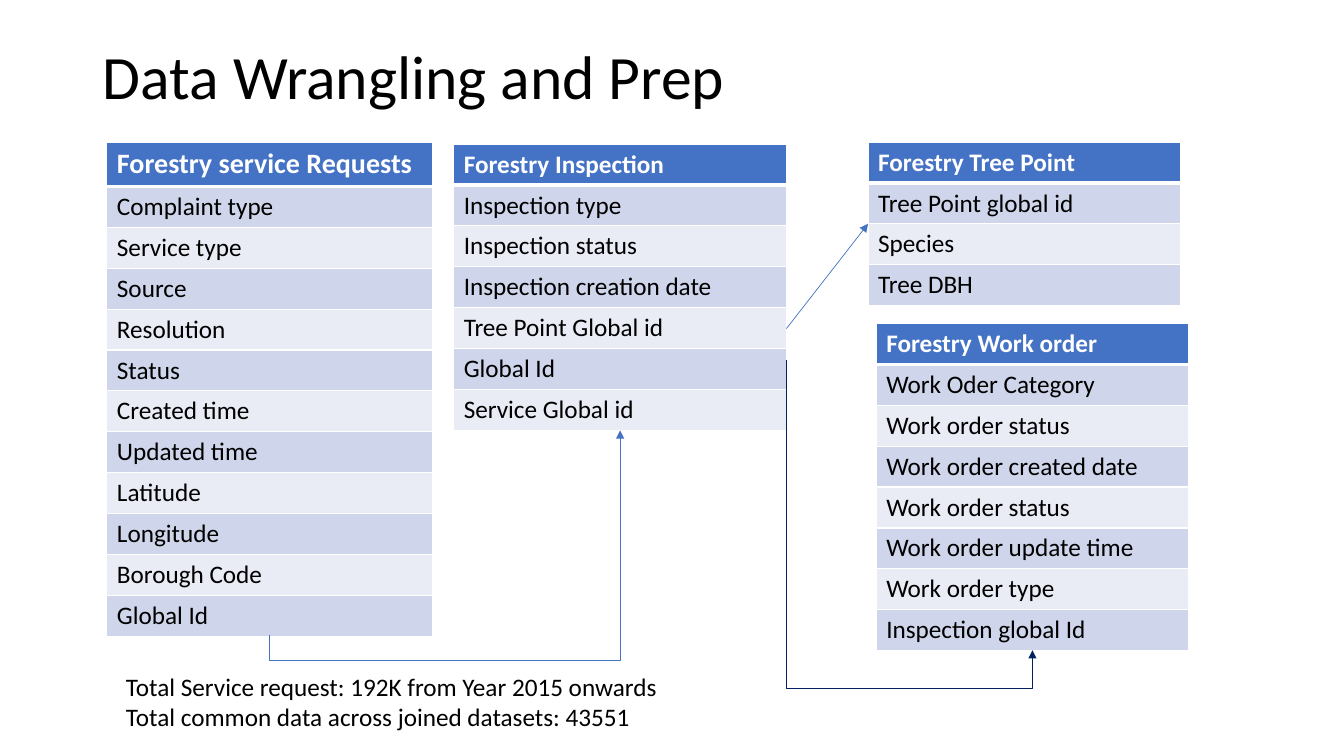
from lxml import etree
from pptx import Presentation
from pptx.dml.color import RGBColor
from pptx.enum.shapes import MSO_CONNECTOR
from pptx.enum.text import MSO_ANCHOR, MSO_AUTO_SIZE, PP_ALIGN
from pptx.oxml.ns import qn
from pptx.util import Inches, Pt

STRAIGHT, ELBOW = MSO_CONNECTOR.STRAIGHT, MSO_CONNECTOR.ELBOW
MIDDLE, LEFT = MSO_ANCHOR.MIDDLE, PP_ALIGN.LEFT
FIT_SHAPE, NO_FIT = MSO_AUTO_SIZE.SHAPE_TO_FIT_TEXT, MSO_AUTO_SIZE.NONE

COLORS = {
    "text": "000000", "white": "FFFFFF", "blue": "4472C4", "navy": "002060",
    "band_dark": "CFD5EA", "band_light": "E9EBF5",
}
FONT = "Calibri"
TITLE_ONLY = 5
ROW_H = Inches(3.65 / 9)
TALL_HEADER_H = Inches(0.43)

# Tables: left, top, width, header size, header, fields
REQUESTS = (1.06, 1.41, 3.23, 20, "Forestry service Requests", [
    "Complaint type", "Service type", "Source", "Resolution", "Status",
    "Created time", "Updated time", "Latitude", "Longitude", "Borough Code",
    "Global Id"])
INSPECTION = (4.5, 1.43, 3.3, 18, "Forestry Inspection", [
    "Inspection type", "Inspection status", "Inspection creation date",
    "Tree Point Global id", "Global Id", "Service Global id"])
WORK_ORDER = (8.69, 3.21, 3.1, 18, "Forestry Work order", [
    "Work Oder Category", "Work order status", "Work order created date",
    "Work order status", "Work order update time", "Work order type",
    "Inspection global Id"])
TREE_POINT = (8.61, 1.41, 3.1, 18, "Forestry Tree Point", [
    "Tree Point global id", "Species", "Tree DBH"])


def rgb(name):
    return RGBColor.from_string(COLORS[name])


class SlideBuilder:
    """Holds the shared style and the slide being filled."""

    def __init__(self, prs):
        self.s = prs.slides.add_slide(prs.slide_layouts[TITLE_ONLY])
        fill = self.s.background.fill
        fill.solid()
        fill.fore_color.rgb = rgb("white")

    def add_text(self, p, text, size, color="text", bold=False):
        p.alignment = LEFT
        r = p.add_run()
        r.text = text
        values = {"name": FONT, "size": Pt(size), "bold": bold}
        for key, value in values.items():
            setattr(r.font, key, value)
        r.font.color.rgb = rgb(color)

    def title(self, text, left, top, width, height):
        sp = self.s.shapes.title
        box = {"left": left, "top": top, "width": width, "height": height}
        for key, value in box.items():
            setattr(sp, key, Inches(value))
        tf = sp.text_frame
        frame = {"vertical_anchor": MIDDLE, "auto_size": NO_FIT, "word_wrap": True}
        for key, value in frame.items():
            setattr(tf, key, value)
        p = tf.paragraphs[0]
        p.line_spacing = 0.9
        self.add_text(p, text, 44)

    def textbox(self, lines, left, top, width, height):
        sp = self.s.shapes.add_textbox(
            Inches(left), Inches(top), Inches(width), Inches(height))
        tf = sp.text_frame
        tf.word_wrap = True
        tf.auto_size = FIT_SHAPE
        for i, line in enumerate(lines):
            p = tf.add_paragraph() if i else tf.paragraphs[0]
            self.add_text(p, line, 18)

    def borders(self, cell, row):
        widths = {"L": 1, "R": 1, "T": 3 if row == 1 else 1, "B": 1 if row else 3}
        tc_pr = cell._tc.get_or_add_tcPr()
        for side, width in widths.items():
            ln = etree.SubElement(tc_pr, qn(f"a:ln{side}"), w=str(Pt(width)))
            fill = etree.SubElement(ln, qn("a:solidFill"))
            etree.SubElement(fill, qn("a:srgbClr"), val=COLORS["white"])

    def table(self, left, top, width, header_size, header, fields):
        texts = [header, *fields]
        frame = self.s.shapes.add_table(
            len(texts), 1, Inches(left), Inches(top), Inches(width),
            ROW_H * len(texts))
        table = frame.table
        for i, text in enumerate(texts):
            table.rows[i].height = ROW_H
            cell = table.cell(i, 0)
            self.borders(cell, i)
            cell.fill.solid()
            band = "band_dark" if i % 2 else "band_light"
            cell.fill.fore_color.rgb = rgb(band if i else "blue")
            p = cell.text_frame.paragraphs[0]
            if i:
                self.add_text(p, text, 18)
            else:
                self.add_text(p, text, header_size, "white", True)
        if header_size > 18:
            table.rows[0].height = TALL_HEADER_H

    def connector(self, kind, x1, y1, x2, y2, color):
        c = self.s.shapes.add_connector(
            kind, Inches(x1), Inches(y1), Inches(x2), Inches(y2))
        c.line.width = Pt(0.5)
        c.line.color.rgb = rgb(color)
        ln = c.element.spPr.find(qn("a:ln"))
        etree.SubElement(ln, qn("a:tailEnd"), type="triangle")
        etree.SubElement(c.element.spPr, qn("a:effectLst"))
        return c

    def link_below(self, x1, y1, x2, y2, bottom, color):
        """Elbow that leaves downwards, runs along bottom and ends upwards."""
        w, h = abs(y2 - y1), x2 - x1
        left, top = (x1 + x2 - w) / 2, (y1 + y2 - h) / 2
        c = self.connector(ELBOW, left, top, left + w, top + h, color)
        rising = y2 < y1
        xfrm = c.element.spPr.find(qn("a:xfrm"))
        xfrm.set("rot", str((90 if rising else 270) * 60000))
        xfrm.set("flipH", "1")
        if rising:
            xfrm.set("flipV", "1")
        bend = round((bottom - y1) / (y2 - y1) * 100000)
        av = c.element.spPr.find(qn("a:prstGeom")).find(qn("a:avLst"))
        etree.SubElement(av, qn("a:gd"), name="adj1", fmla=f"val {bend}")


def main():
    prs = Presentation()
    prs.slide_width, prs.slide_height = Inches(13.33), Inches(7.5)
    b = SlideBuilder(prs)

    # Title
    b.title("Data Wrangling and Prep", 0.92, 0.3, 11.5, 0.97)

    # Datasets and the keys that join them
    for dataset in (REQUESTS, INSPECTION, WORK_ORDER):
        b.table(*dataset)
    b.link_below(2.67, 6.3, 6.15, 4.27, 6.55, "blue")
    b.table(*TREE_POINT)
    b.link_below(7.8, 3.57, 10.24, 6.45, 6.83, "navy")
    b.connector(STRAIGHT, 7.8, 3.26, 8.61, 2.22, "blue")

    # Totals
    b.textbox(["Total Service request: 192K from Year 2015 onwards",
               "Total common data across joined datasets: 43551"],
              1.15, 6.61, 6.52, 0.71)

    prs.save("out.pptx")


if __name__ == "__main__":
    main()
